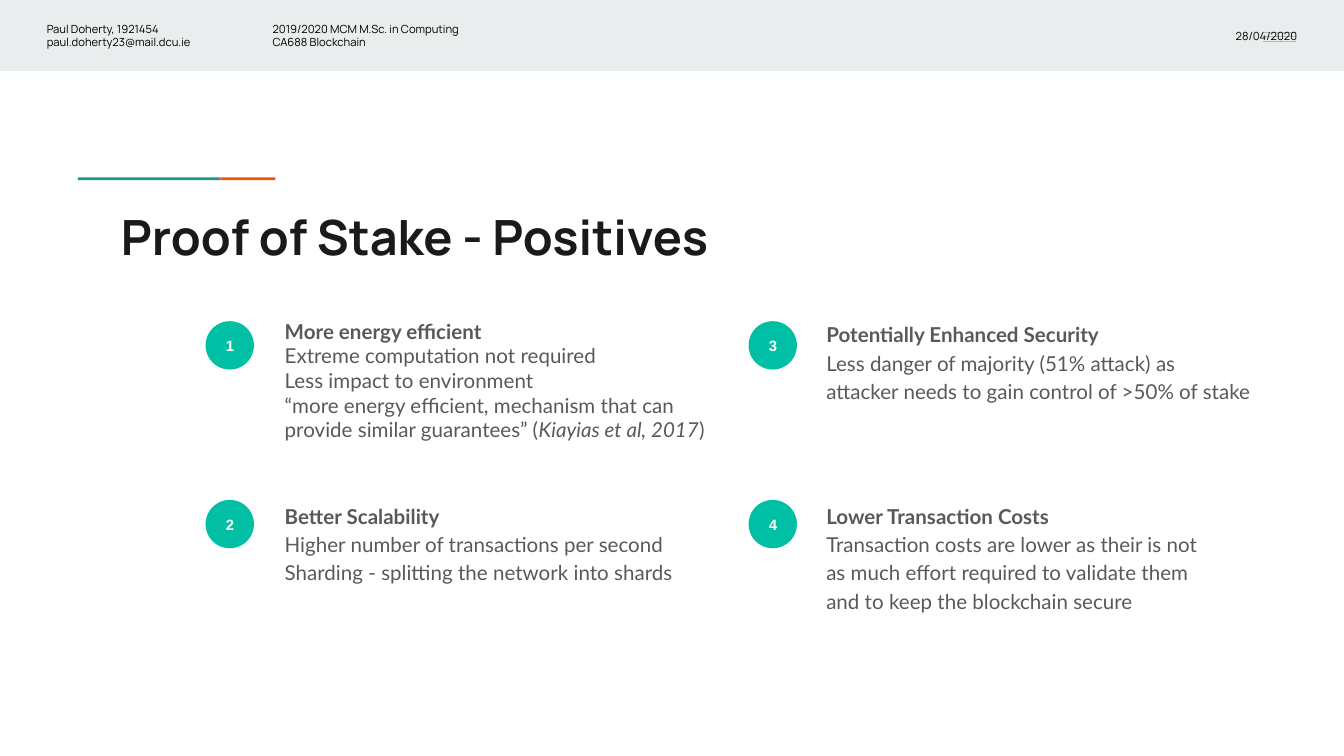
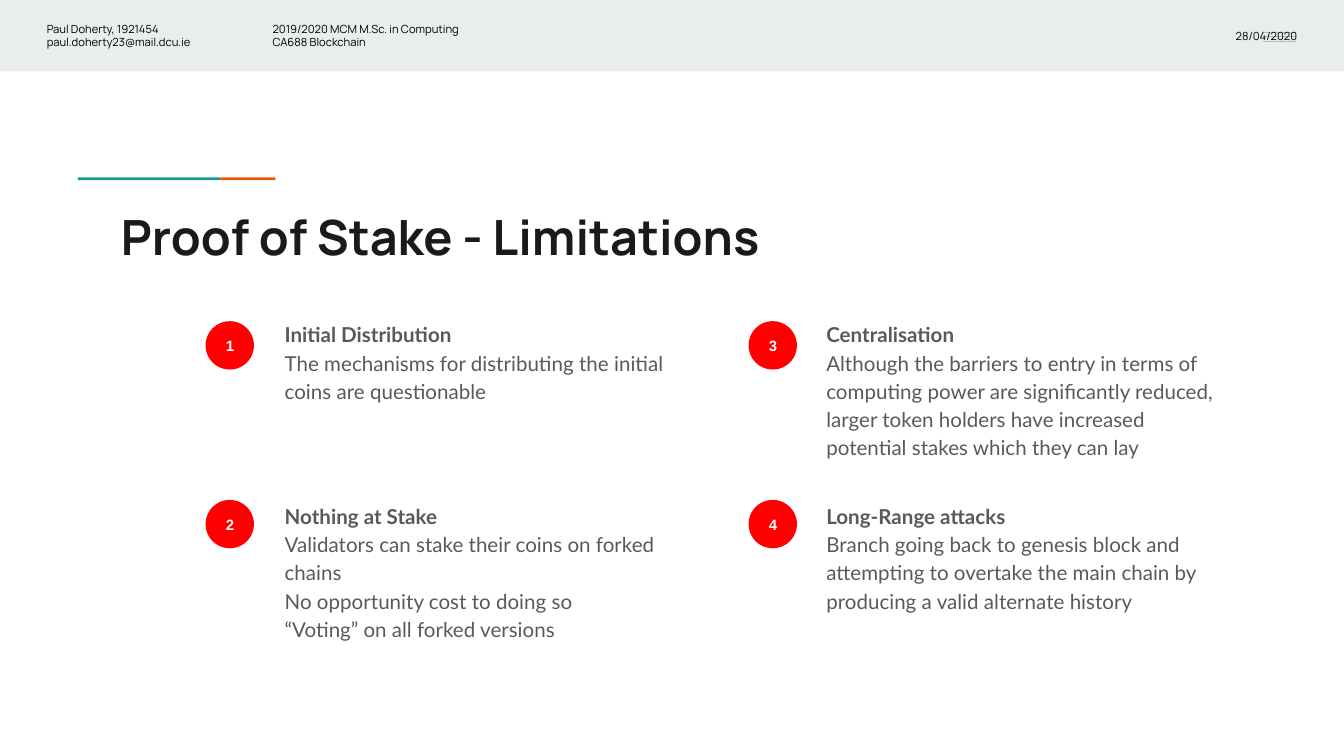
from dataclasses import dataclass

from pptx import Presentation
from pptx.dml.color import RGBColor
from pptx.enum.shapes import MSO_CONNECTOR, MSO_SHAPE
from pptx.enum.text import MSO_ANCHOR, MSO_AUTO_SIZE, PP_ALIGN
from pptx.oxml.ns import qn
from pptx.util import Inches, Pt
from lxml import etree

RECT, OVAL = MSO_SHAPE.RECTANGLE, MSO_SHAPE.OVAL
STRAIGHT = MSO_CONNECTOR.STRAIGHT
TOP, MIDDLE = MSO_ANCHOR.TOP, MSO_ANCHOR.MIDDLE
LEFT, CENTER, RIGHT = PP_ALIGN.LEFT, PP_ALIGN.CENTER, PP_ALIGN.RIGHT
NO_FIT = MSO_AUTO_SIZE.NONE

COLORS = {
    "band": "E9EDEE",
    "orange": "EB5600",
    "green": "1A9988",
    "rule": "B7B7B7",
    "header": "000000",
    "title": "1A1A1A",
    "body": "595959",
    "badge_text": "FFFFFF",
    "positive": "00BFA5",
    "limitation": "FF0000",
}
TITLE_ONLY = 5
ROWS = 2
BADGE_X, BADGE_Y, BADGE_SIZE = 1.53, 2.39, 0.36
BADGE_DX, BADGE_DY = 4.04, 1.33
CARD_X, CARD_Y, CARD_H = 2.02, 2.27, 1.15
CARD_DX, CARD_DY = 4.03, 1.35


@dataclass
class Card:
    heading: str
    lines: list[str]
    width: float = 3.1
    spacing: float = 1.15


@dataclass
class Topic:
    title: str
    color: str
    cards: list[Card]


@dataclass
class HeaderText:
    left: float
    width: float
    lines: list[str]
    align: PP_ALIGN = LEFT


HEADER = [
    HeaderText(0.25, 1.57, ["Paul Doherty, 1921454", "paul.doherty23@mail.dcu.ie"]),
    HeaderText(1.93, 2.39, ["2019/2020 MCM M.Sc. in Computing", "CA688 Blockchain"]),
    HeaderText(8.98, 0.77, ["28/04/2020"], RIGHT),
]

TOPICS = [
    Topic("Proof of Stake - Positives", "positive", [
        Card("More energy efficient", [
            "Extreme computation not required",
            "Less impact to environment",
            "“more energy efficient, mechanism that can provide similar "
            "guarantees” (*Kiayias et al, 2017*)",
        ], 3.37, 1.0),
        Card("Better Scalability", [
            "Higher number of transactions per second",
            "Sharding - splitting the network into shards",
        ]),
        Card("Potentially Enhanced Security", [
            "Less danger of majority (51% attack) as attacker needs to gain "
            "control of >50% of stake",
        ], 3.37),
        Card("Lower Transaction Costs", [
            "Transaction costs are lower as their is not as much effort "
            "required to validate them and to keep the blockchain secure",
        ]),
    ]),
    Topic("Proof of Stake - Limitations", "limitation", [
        Card("Initial Distribution", [
            "The mechanisms for distributing the initial coins are questionable",
        ]),
        Card("Nothing at Stake", [
            "Validators can stake their coins on forked chains",
            "No opportunity cost to doing so",
            "“Voting” on all forked versions",
        ], 3.4),
        Card("Centralisation", [
            "Although the barriers to entry in terms of computing power are "
            "significantly reduced, larger token holders have increased "
            "potential stakes which they can lay",
        ]),
        Card("Long-Range attacks", [
            "Branch going back to genesis block and attempting to overtake "
            "the main chain by producing a valid alternate history",
        ]),
    ]),
]


def rgb(name: str) -> RGBColor:
    return RGBColor.from_string(COLORS[name])


def write(sp, lines: list[str], *, size: float, font: str, color: str,
          bold: bool = False, bold_first: bool = False, align: PP_ALIGN = LEFT,
          anchor: MSO_ANCHOR = TOP, spacing: float = 1.0) -> None:
    tf = sp.text_frame
    tf.word_wrap = True
    tf.auto_size = NO_FIT
    tf.vertical_anchor = anchor
    tf.margin_left = tf.margin_right = Inches(0.1)
    tf.margin_top = tf.margin_bottom = Inches(0.1)
    for i, line in enumerate(lines):
        p = tf.paragraphs[0] if i == 0 else tf.add_paragraph()
        p.alignment = align
        p.line_spacing = spacing
        p.space_before = p.space_after = Pt(0)
        for j, part in enumerate(line.split("*")):
            r = p.add_run()
            r.text = part
            r.font.size = Pt(size)
            r.font.name = font
            r.font.bold = bold or (bold_first and i == 0)
            r.font.italic = j % 2 == 1
            r.font.color.rgb = rgb(color)


def add_box(s, kind: MSO_SHAPE, x: float, y: float, w: float, h: float, color: str):
    sp = s.shapes.add_shape(kind, Inches(x), Inches(y), Inches(w), Inches(h))
    sp.shadow.inherit = False
    sp.fill.solid()
    sp.fill.fore_color.rgb = rgb(color)
    sp.line.fill.background()
    return sp


def add_text(s, x: float, y: float, w: float, h: float, lines: list[str], **fmt) -> None:
    sp = s.shapes.add_textbox(Inches(x), Inches(y), Inches(w), Inches(h))
    write(sp, lines, **fmt)


def add_rule(s, x1: float, x2: float, y: float) -> None:
    cn = s.shapes.add_connector(STRAIGHT, Inches(x1), Inches(y), Inches(x2), Inches(y))
    cn.line.color.rgb = rgb("rule")
    cn.line.width = Pt(0.75)
    etree.SubElement(cn._element.spPr, qn("a:effectLst"))


def add_header(s) -> None:
    add_box(s, RECT, 0, 0, 10, 0.53, "band")
    add_box(s, RECT, 0.58, 1.32, 1.06, 0.02, "green")
    add_box(s, RECT, 1.64, 1.32, 0.41, 0.02, "orange")
    add_box(s, RECT, 9.06, 0, 0.94, 0.5, "band")
    for y in (0.24, 0.27, 0.31):
        add_rule(s, 9.4, 9.64, y)
    for h in HEADER:
        add_text(s, h.left, 0.09, h.width, 0.35, h.lines, size=6, font="Manrope",
                 color="header", align=h.align, anchor=MIDDLE)


def set_title(s, text: str) -> None:
    sp = s.shapes.title
    sp.left, sp.top = Inches(0.8), Inches(1.44)
    sp.width, sp.height = Inches(8.41), Inches(0.59)
    write(sp, [text], size=26, font="Manrope", color="title", bold=True)


def add_card(s, card: Card, index: int, color: str) -> None:
    col, row = divmod(index, ROWS)
    badge = add_box(s, OVAL, BADGE_X + col * BADGE_DX, BADGE_Y + row * BADGE_DY,
                    BADGE_SIZE, BADGE_SIZE, color)
    write(badge, [str(index + 1)], size=8, font="Arial", color="badge_text",
          bold=True, align=CENTER, anchor=MIDDLE)
    add_text(s, CARD_X + col * CARD_DX, CARD_Y + row * CARD_DY, card.width, CARD_H,
             [card.heading, *card.lines], size=11, font="Lato", color="body",
             bold_first=True, spacing=card.spacing)


def main() -> None:
    prs = Presentation()
    prs.slide_width = Inches(10)
    prs.slide_height = Inches(10 * 9 / 16)
    for topic in TOPICS:
        s = prs.slides.add_slide(prs.slide_layouts[TITLE_ONLY])
        add_header(s)
        set_title(s, topic.title)
        for i, card in enumerate(topic.cards):
            add_card(s, card, i, topic.color)
    prs.save("out.pptx")


if __name__ == "__main__":
    main()
